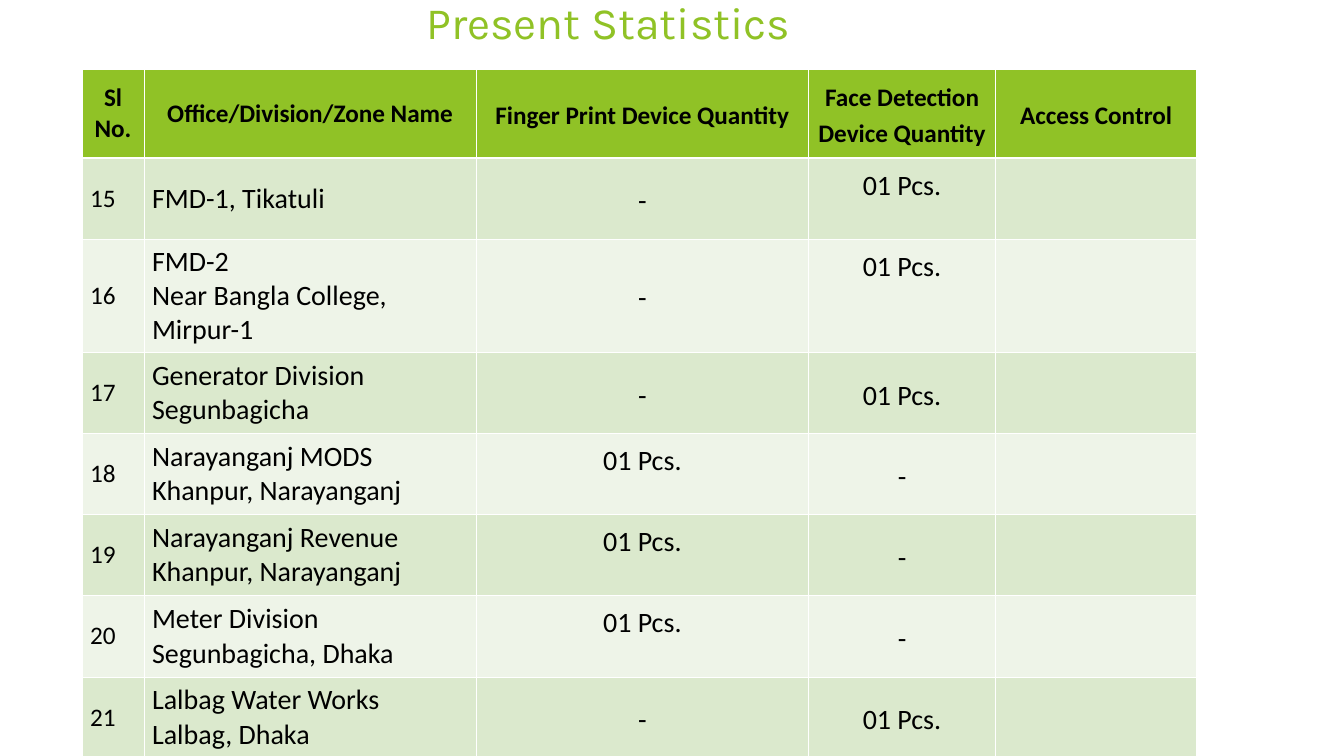
from lxml import etree
from pptx import Presentation
from pptx.dml.color import RGBColor
from pptx.enum.text import MSO_ANCHOR, PP_ALIGN
from pptx.oxml.ns import qn
from pptx.util import Pt

LEFT, CENTER = PP_ALIGN.LEFT, PP_ALIGN.CENTER
TOP, MIDDLE = MSO_ANCHOR.TOP, MSO_ANCHOR.MIDDLE

# Content
TITLE = "Present Statistics"
HEADERS = ["Sl No.", "Office/Division/Zone Name", "Finger Print Device Quantity",
           "Face Detection Device Quantity", "Access Control"]
PIECES, NONE = "01 Pcs.", "-"
OFFICES = [  # number, office lines, finger print, face detection
    ("15", ["FMD-1, Tikatuli"], NONE, PIECES),
    ("16", ["FMD-2", "Near Bangla College, Mirpur-1"], NONE, PIECES),
    ("17", ["Generator Division", "Segunbagicha"], NONE, PIECES),
    ("18", ["Narayanganj MODS", "Khanpur, Narayanganj"], PIECES, NONE),
    ("19", ["Narayanganj Revenue", "Khanpur, Narayanganj"], PIECES, NONE),
    ("20", ["Meter Division", "Segunbagicha, Dhaka"], PIECES, NONE),
    ("21", ["Lalbag Water Works", "Lalbag, Dhaka"], NONE, PIECES),
]
MIDDLE_PIECES = ("17", "21")  # rows whose quantity is centred vertically

# Layout in px
SCALE = 9080
SLIDE_SIZE = (1343, 755)
TITLE_BOX = (416, -8, 527, 59)
TABLE_AT = (82, 69)
COLUMNS = [62, 332, 332, 187, 201]
ROWS = [89, 81, 113] + [81] * 5
GREEN, BANDS, WHITE, BLACK = "90C226", ("DBE9CD", "EEF4E8"), "FFFFFF", "000000"


def px(length):
    return length * SCALE


def color(value):
    return RGBColor.from_string(value)


def add_span(para, text, size, font, ink, bold=False):
    span = para.add_run()
    span.text = text
    span.font.size, span.font.name, span.font.bold = Pt(size), font, bold
    span.font.color.rgb = color(ink)


def set_borders(cell, row_index):
    heavy = {0: "lnB", 1: "lnT"}.get(row_index)
    properties = cell._tc.get_or_add_tcPr()
    for position, side in enumerate(("lnL", "lnR", "lnT", "lnB")):
        width = Pt(1.47) if side == heavy else Pt(0.45)
        line = etree.Element(qn("a:" + side), w=str(int(width)))
        fill = etree.SubElement(line, qn("a:solidFill"))
        etree.SubElement(fill, qn("a:srgbClr"), val=WHITE)
        properties.insert(position, line)


def fill_cell(cell, row_index, fill, lines, size, align, anchor=MIDDLE,
              spaced=False, bold=False):
    cell.fill.solid()
    cell.fill.fore_color.rgb = color(fill)
    cell.vertical_anchor = anchor
    cell.margin_left = cell.margin_right = px(8)
    cell.margin_top = cell.margin_bottom = px(5)
    set_borders(cell, row_index)
    frame = cell.text_frame
    for index, text in enumerate(lines):
        para = frame.add_paragraph() if index else frame.paragraphs[0]
        para.alignment = align
        if spaced:
            para.line_spacing, para.space_after = 1.15, Pt(10)
        add_span(para, text, size, "Calibri", BLACK, bold)


deck = Presentation()
deck.slide_width, deck.slide_height = map(px, SLIDE_SIZE)
page = deck.slides.add_slide(deck.slide_layouts[5])

# Title
title = page.shapes.title
title.left, title.top, title.width, title.height = map(px, TITLE_BOX)
title.text_frame.vertical_anchor = MIDDLE
title_para = title.text_frame.paragraphs[0]
title_para.alignment = LEFT
add_span(title_para, TITLE, 32, "Karla", GREEN)

# Table grid
table = page.shapes.add_table(len(ROWS), len(COLUMNS), *map(px, TABLE_AT),
                              px(sum(COLUMNS)), px(sum(ROWS))).table
for column, width in zip(table.columns, COLUMNS):
    column.width = px(width)
for row, height in zip(table.rows, ROWS):
    row.height = px(height)

# Header row
for index, header in enumerate(HEADERS):
    fill_cell(table.cell(0, index), 0, GREEN, [header], 18, CENTER,
              spaced=index > 1, bold=True)

# Office rows
for row_index, (number, office, finger, face) in enumerate(OFFICES, 1):
    band = BANDS[(row_index - 1) % 2]
    cells = table.rows[row_index].cells
    fill_cell(cells[0], row_index, band, [number], 18, LEFT)
    fill_cell(cells[1], row_index, band, office, 20, LEFT)
    for column_index, quantity in ((2, finger), (3, face)):
        high = quantity == PIECES and number not in MIDDLE_PIECES
        fill_cell(cells[column_index], row_index, band, [quantity], 20, CENTER,
                  TOP if high else MIDDLE, spaced=True)
    fill_cell(cells[4], row_index, band, [], 18, LEFT)

deck.save("out.pptx")
